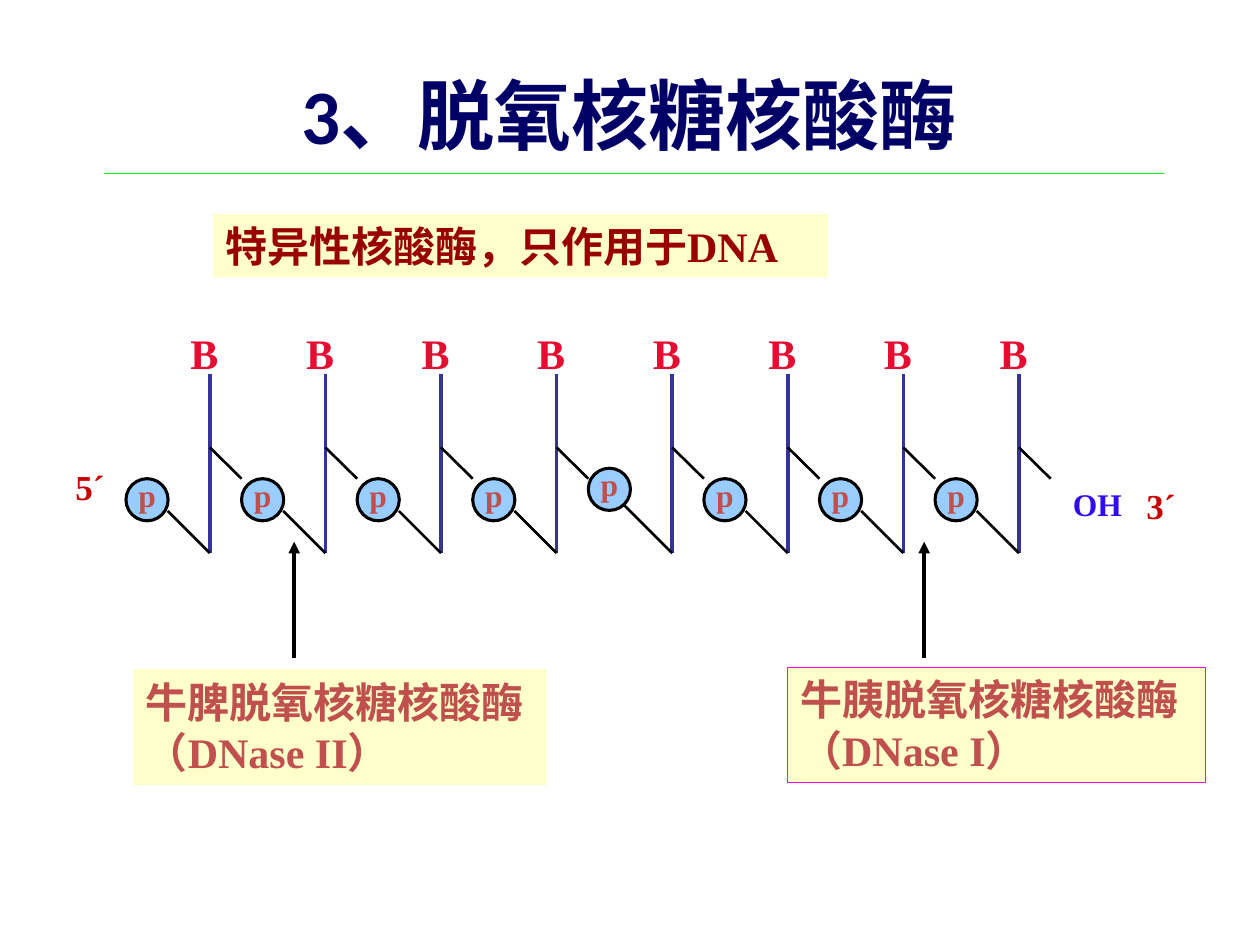
from lxml.etree import SubElement
from pptx import Presentation
from pptx.dml.color import RGBColor
from pptx.enum.shapes import MSO_CONNECTOR, MSO_SHAPE
from pptx.enum.text import MSO_ANCHOR, PP_ALIGN
from pptx.oxml.ns import qn
from pptx.util import Cm, Pt

NAVY = RGBColor(0x00, 0x00, 0x66)
GREEN = RGBColor(0x00, 0xFF, 0x00)
BLACK = RGBColor(0x00, 0x00, 0x00)
CREAM = RGBColor(0xFF, 0xFF, 0xCC)
MAGENTA = RGBColor(0xFF, 0x00, 0xFF)
DARK_RED = RGBColor(0x99, 0x00, 0x00)
END_RED = RGBColor(0xCC, 0x00, 0x00)
BASE_RED = RGBColor(0xE5, 0x0D, 0x31)
BRICK = RGBColor(0xC0, 0x50, 0x4D)
SUGAR_BLUE = RGBColor(0x33, 0x33, 0x99)
PHOSPHATE_BLUE = RGBColor(0x99, 0xCC, 0xFF)
OH_BLUE = RGBColor(0x32, 0x0B, 0xF5)

SERIF = "Times New Roman"
NUCLEOTIDES = 8
PITCH = 2.33
RAISED = 4  # this phosphate sits a little higher


def write(shape, text, size, color, font=SERIF, align=PP_ALIGN.LEFT):
    text_frame = shape.text_frame
    text_frame.word_wrap = True
    text_frame.text = text
    paragraph = text_frame.paragraphs[0]
    paragraph.alignment = align
    run_font = paragraph.runs[0].font
    run_font.name = font
    run_font.size = Pt(size)
    run_font.bold = True
    run_font.color.rgb = color
    return text_frame


def add_label(slide, box, text, size, color, **style):
    shape = slide.shapes.add_textbox(*map(Cm, box))
    return write(shape, text, size, color, **style)


def add_filled(slide, kind, box, fill, line=None, width=0.75):
    shape = slide.shapes.add_shape(kind, *map(Cm, box))
    shape.shadow.inherit = False
    shape.fill.solid()
    shape.fill.fore_color.rgb = fill
    if line is None:
        shape.line.fill.background()
    else:
        shape.line.color.rgb = line
        shape.line.width = Pt(width)
    return shape


def add_line(slide, start, end, color, width, arrow=False):
    connector = slide.shapes.add_connector(
        MSO_CONNECTOR.STRAIGHT, *map(Cm, start + end))
    connector.line.color.rgb = color
    connector.line.width = Pt(width)
    if arrow:
        SubElement(connector.line._get_or_add_ln(), qn("a:tailEnd"), type="triangle")
    SubElement(connector._element.spPr, qn("a:effectLst"))


def add_title(slide, left, top, width, height):
    text_frame = add_label(slide, (left, top, width, height), "3、脱氧核糖核酸酶",
                           44, NAVY, font="Calibri", align=PP_ALIGN.CENTER)
    text_frame.vertical_anchor = MSO_ANCHOR.MIDDLE
    rule_y = top + 2.79
    add_line(slide, (left + 0.2, rule_y), (left + width - 0.02, rule_y), GREEN, 0.75)


def add_note(slide, box, text, color, line=None):
    shape = add_filled(slide, MSO_SHAPE.RECTANGLE, box, CREAM, line)
    write(shape, text, 24, color).vertical_anchor = MSO_ANCHOR.TOP


def add_nucleotide(slide, x, top, lift):
    """One base, sugar and phosphate; x is the sugar line."""
    bottom = top + 4.67
    add_label(slide, (x - 0.64, top, 1.48, 1.27), "B", 24, BASE_RED)
    add_line(slide, (x, top + 1.06), (x, bottom), SUGAR_BLUE, 2)
    # Links to the next and the previous phosphate
    add_line(slide, (x, top + 2.54), (x + 0.64, top + 3.17), BLACK, 1.5)
    reach = 0.85 + lift
    add_line(slide, (x, bottom), (x - reach, bottom - reach), BLACK, 1.5)
    # Phosphate
    circle = add_filled(slide, MSO_SHAPE.OVAL,
                        (x - 1.69, top + 3.17 - lift, 0.85, 0.85),
                        PHOSPHATE_BLUE, BLACK, 1.75)
    text_frame = write(circle, "p", 18, BRICK, align=PP_ALIGN.CENTER)
    text_frame.vertical_anchor = MSO_ANCHOR.MIDDLE
    text_frame.margin_left = text_frame.margin_right = text_frame.margin_top = 0
    text_frame.margin_bottom = Cm(0.2)


def add_strand(slide, left, top):
    for index in range(NUCLEOTIDES):
        lift = 0.21 if index == RAISED else 0
        add_nucleotide(slide, left + 2.96 + index * PITCH, top, lift)
    # Ends of the chain
    add_label(slide, (left, top + 2.77, 1.9, 1.09), "5´", 20, END_RED)
    add_label(slide, (left + 20.11, top + 3.17, 1.7, 1.02), "OH", 18, OH_BLUE)
    add_label(slide, (left + 21.59, top + 3.17, 1.27, 1.09), "3´", 20, END_RED)


def add_enzyme(slide, box, text, line, arrow_x):
    add_note(slide, box, text, BRICK, line)
    # Cleavage site
    add_line(slide, (arrow_x, 13.26), (arrow_x, 10.92), BLACK, 2.25, arrow=True)


def main():
    presentation = Presentation()
    presentation.slide_width = Cm(25.4)
    presentation.slide_height = Cm(19.05)
    slide = presentation.slides.add_slide(presentation.slide_layouts[6])

    add_title(slide, 1.9, 0.71, 21.59, 3.18)
    add_note(slide, (4.29, 4.32, 12.4, 1.27), "特异性核酸酶，只作用于DNA", DARK_RED)
    add_strand(slide, 1.27, 6.48)
    add_enzyme(slide, (2.69, 13.51, 8.33, 2.31), "牛脾脱氧核糖核酸酶（DNase II）", CREAM, 5.93)
    add_enzyme(slide, (15.88, 13.46, 8.43, 2.31), "牛胰脱氧核糖核酸酶（DNase I）", MAGENTA, 18.63)

    presentation.save("out.pptx")


if __name__ == "__main__":
    main()
